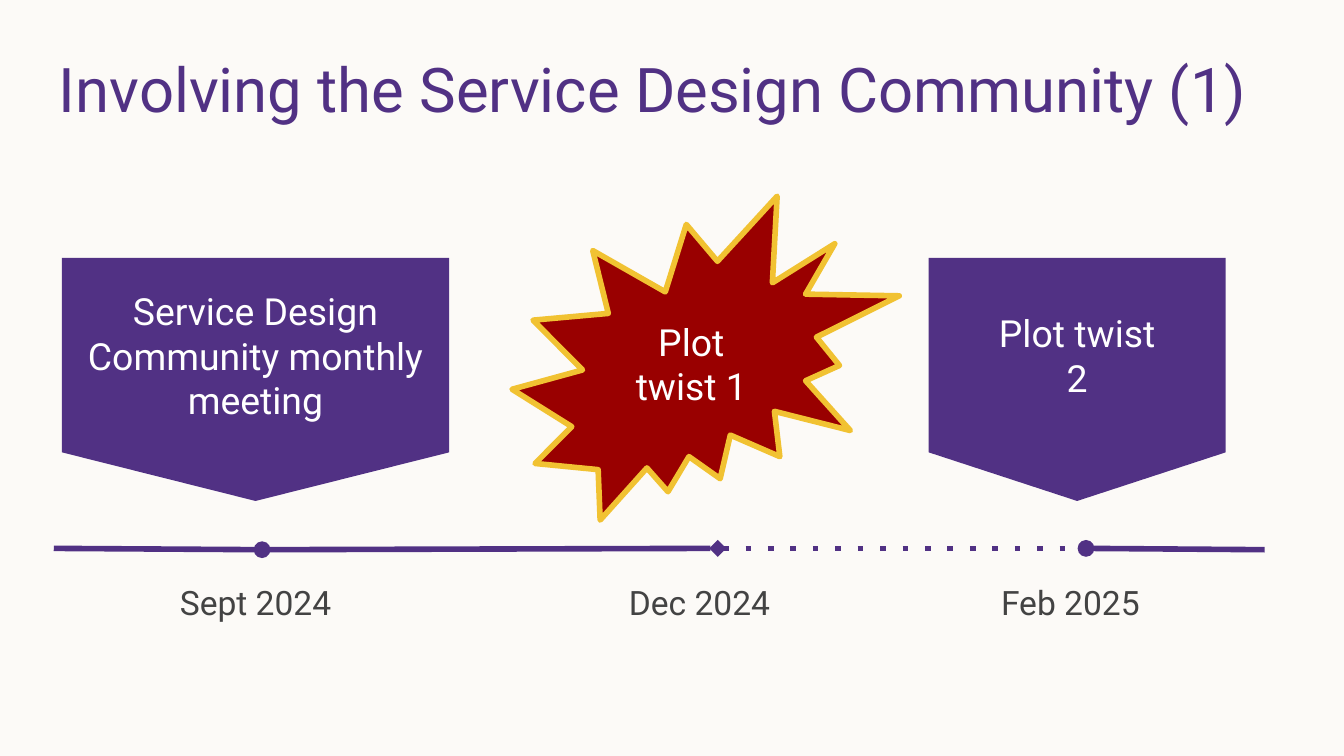
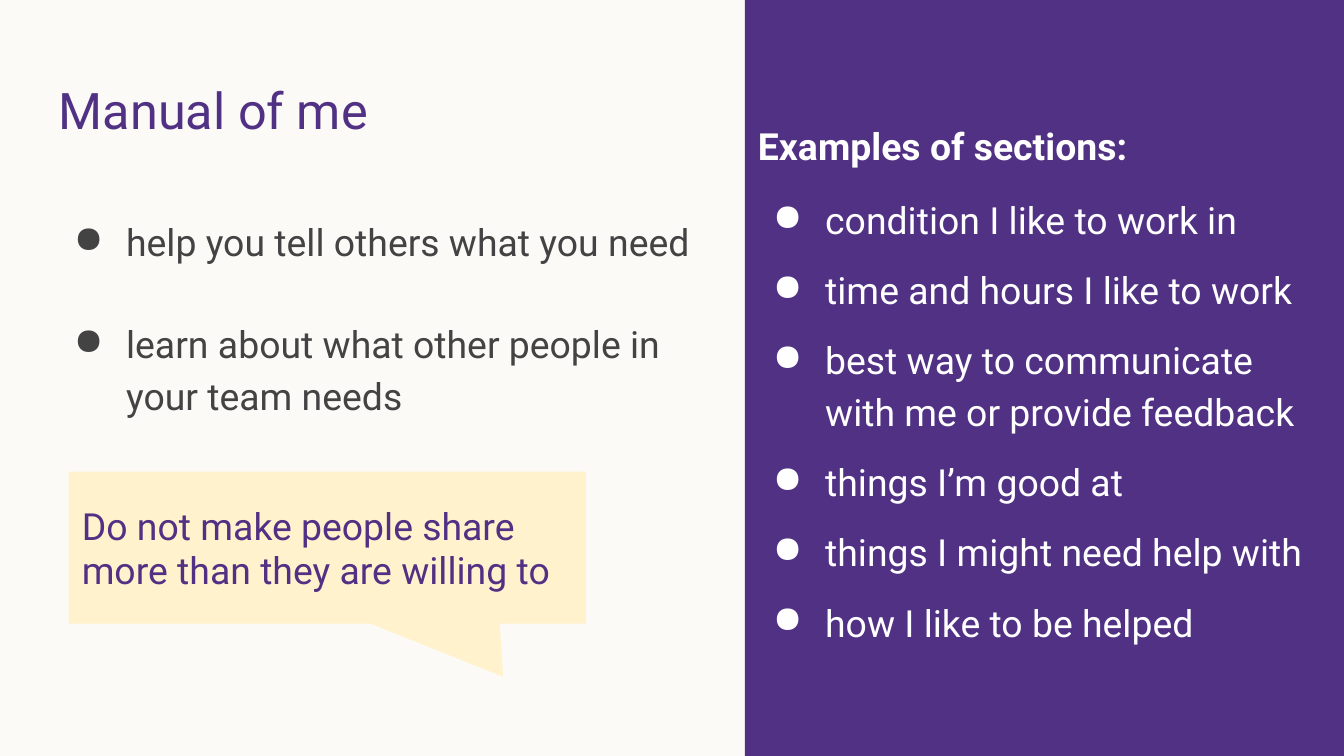
import lxml.etree
import pptx
import pptx.dml.color
import pptx.enum.shapes
import pptx.enum.text
import pptx.oxml.ns
import pptx.util

Pt = pptx.util.Pt
RGB = pptx.dml.color.RGBColor
SHAPE = pptx.enum.shapes.MSO_SHAPE
ANCHOR = pptx.enum.text.MSO_ANCHOR
ALIGN = pptx.enum.text.PP_ALIGN
AUTO_SIZE = pptx.enum.text.MSO_AUTO_SIZE
qn = pptx.oxml.ns.qn

# Shared look
PURPLE = RGB(0x51, 0x31, 0x84)
CREAM = RGB(0xFC, 0xFA, 0xF7)
GREY = RGB(0x43, 0x43, 0x43)
WHITE = RGB(0xFF, 0xFF, 0xFF)
RED = RGB(0x99, 0x00, 0x00)
GOLD = RGB(0xF1, 0xC2, 0x32)
PALE_YELLOW = RGB(0xFF, 0xF2, 0xCC)
FONT = "Roboto"
WIDTH, HEIGHT = 720, 405
LEFT, TEXT_WIDTH = 24.5, 671
BODY_SIZE, DATE_SIZE = 20, 18
INSET = 7.2
LINE_WEIGHT = 3

# Content of slide 1: boxes are left, top, width, height
COMMUNITY_TITLE = "Involving the Service Design Community (1)"
EVENTS = [
    (["Service Design Community monthly meeting"],
     SHAPE.FLOWCHART_OFFPAGE_CONNECTOR, (33.2, 138.2, 207.4, 130.2), PURPLE, None),
    (["Plot twist 1"],
     SHAPE.EXPLOSION2, (274.3, 105.1, 207.4, 173.5), RED, GOLD),
    (["Plot twist", "2"],
     SHAPE.FLOWCHART_OFFPAGE_CONNECTOR, (497.5, 138.2, 159.1, 130.2), PURPLE, None),
]
DATES = [("Sept 2024", 89.3), ("Dec 2024", 329.8), ("Feb 2025", 529.2)]
DATE_TOP, DATE_WIDTH, DATE_HEIGHT = 304.5, 95.8, 36
# Start, end, end marker, dash
TIMELINE = [
    ((28.8, 293.8), (140.4, 294.5), "oval", None),
    ((139.7, 294.5), (384.5, 293.8), "diamond", None),
    ((387.4, 293.8), (581.8, 293.8), "oval", "dot"),
    ((581.8, 293.8), (677.5, 294.5), None, None),
]

# Content of slide 2
MANUAL_TITLE = "Manual of me"
BENEFITS = ["help you tell others what you need",
            "learn about what other people in your team needs"]
WARNING = "Do not make people share more than they are willing to"
SECTIONS_HEADING = "Examples of sections:"
SECTIONS = [
    "condition I like to work in",
    "time and hours I like to work",
    "best way to communicate with me or provide feedback",
    "things I’m good at",
    "things I might need help with",
    "how I like to be helped",
]
PANEL_LEFT = 399


def set_all(target, values):
    for name, value in values.items():
        setattr(target, name, value)


def add_bullet(paragraph, color):
    properties = paragraph._p.get_or_add_pPr()
    properties.set("marL", str(Pt(36)))
    properties.set("indent", str(Pt(-28)))
    bullet_color = lxml.etree.SubElement(properties, qn("a:buClr"))
    lxml.etree.SubElement(bullet_color, qn("a:srgbClr"), val=str(color))
    lxml.etree.SubElement(properties, qn("a:buChar"), char="●")


def write(holder, lines, color, size=BODY_SIZE, align=ALIGN.LEFT,
          anchor=ANCHOR.TOP, top_inset=INSET):
    """Fill a frame; each line is a text with its paragraph settings."""
    frame = holder.text_frame
    set_all(frame, {
        "word_wrap": True, "vertical_anchor": anchor,
        "margin_left": Pt(INSET), "margin_right": Pt(INSET),
        "margin_top": Pt(top_inset), "margin_bottom": Pt(INSET),
    })
    for index, (text, settings) in enumerate(lines):
        paragraph = frame.paragraphs[0] if index == 0 else frame.add_paragraph()
        paragraph.alignment = align
        if settings.get("bullet"):
            paragraph.line_spacing = 1.15
            add_bullet(paragraph, color)
        if settings.get("before"):
            paragraph.space_before = Pt(settings["before"])
        run = paragraph.add_run()
        run.text = text
        set_all(run.font, {"name": FONT, "size": Pt(size),
                           "bold": settings.get("bold", False)})
        run.font.color.rgb = color


def bulleted(texts, first_gap, gap):
    return [(text, {"bullet": True, "before": gap if index else first_gap})
            for index, text in enumerate(texts)]


def add_text(slide, box, lines, color, **style):
    holder = slide.shapes.add_textbox(*map(Pt, box))
    write(holder, lines, color, **style)
    return holder


def add_block(slide, kind, box, fill, outline=None):
    block = slide.shapes.add_shape(kind, *map(Pt, box))
    block.shadow.inherit = False
    block.fill.solid()
    block.fill.fore_color.rgb = fill
    if outline is None:
        block.line.fill.background()
    else:
        block.line.color.rgb = outline
        block.line.width = Pt(LINE_WEIGHT)
        lxml.etree.SubElement(block._element.spPr.find(qn("a:ln")), qn("a:round"))
    return block


def add_segment(slide, start, end, marker, dash):
    segment = slide.shapes.add_connector(
        pptx.enum.shapes.MSO_CONNECTOR.STRAIGHT, *map(Pt, start + end))
    segment.line.color.rgb = PURPLE
    segment.line.width = Pt(LINE_WEIGHT)
    properties = segment._element.spPr
    outline = properties.find(qn("a:ln"))
    if dash:
        lxml.etree.SubElement(outline, qn("a:prstDash"), val=dash)
    if marker:
        lxml.etree.SubElement(outline, qn("a:tailEnd"), type=marker)
    lxml.etree.SubElement(properties, qn("a:effectLst"))


def add_slide(deck, title, top, size):
    slide = deck.slides.add_slide(deck.slide_layouts[6])
    slide.background.fill.solid()
    slide.background.fill.fore_color.rgb = CREAM
    add_text(slide, (LEFT, top, TEXT_WIDTH, 45), [(title, {})], PURPLE, size=size)
    return slide


def build_community(deck):
    slide = add_slide(deck, COMMUNITY_TITLE, 20.2, 33)
    # Timeline with its dates
    for segment in TIMELINE:
        add_segment(slide, *segment)
    for date, left in DATES:
        label = add_text(slide, (left, DATE_TOP, DATE_WIDTH, DATE_HEIGHT),
                         [(date, {})], GREY, size=DATE_SIZE)
        label.text_frame.auto_size = AUTO_SIZE.SHAPE_TO_FIT_TEXT
    # Events above it
    for texts, kind, box, fill, outline in EVENTS:
        event = add_block(slide, kind, box, fill, outline)
        write(event, [(text, {}) for text in texts], WHITE,
              align=ALIGN.CENTER, anchor=ANCHOR.MIDDLE)


def build_manual(deck):
    slide = add_slide(deck, MANUAL_TITLE, 35.3, 27)
    # Benefits
    add_text(slide, (LEFT, 106.6, 356.4, 253.4), bulleted(BENEFITS, 0, 27), GREY)
    # Warning
    warning = add_block(slide, SHAPE.RECTANGULAR_CALLOUT,
                        (36.7, 252.7, 277.2, 81.4), PALE_YELLOW)
    warning.adjustments[0] = 0.34
    warning.adjustments[1] = 0.85
    write(warning, [(WARNING, {})], PURPLE, anchor=ANCHOR.MIDDLE)
    # Sections panel
    panel = add_block(slide, SHAPE.RECTANGLE,
                      (PANEL_LEFT, 0, WIDTH - PANEL_LEFT, HEIGHT), PURPLE)
    write(panel, [(SECTIONS_HEADING, {"bold": True})] + bulleted(SECTIONS, 12, 10),
          WHITE, top_inset=66)


def main():
    deck = pptx.Presentation()
    set_all(deck, {"slide_width": Pt(WIDTH), "slide_height": Pt(HEIGHT)})
    build_community(deck)
    build_manual(deck)
    deck.save("out.pptx")


if __name__ == "__main__":
    main()
